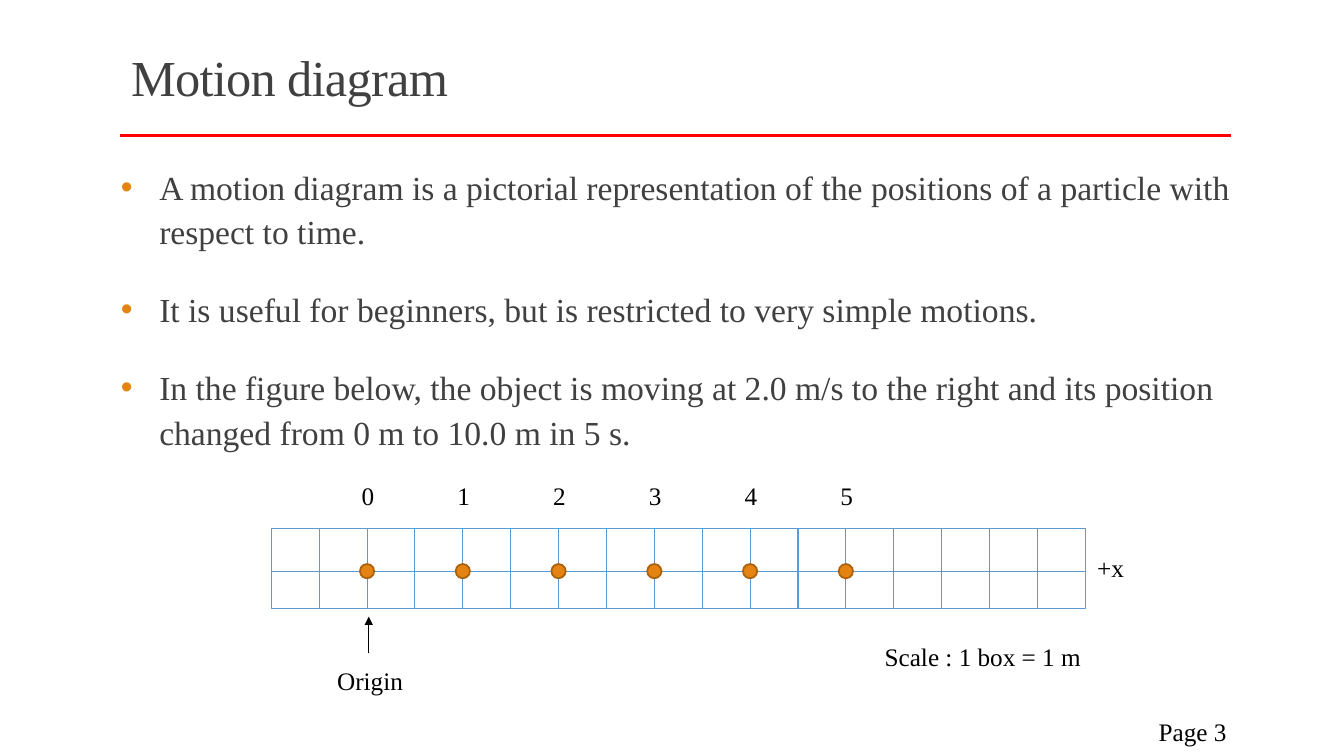
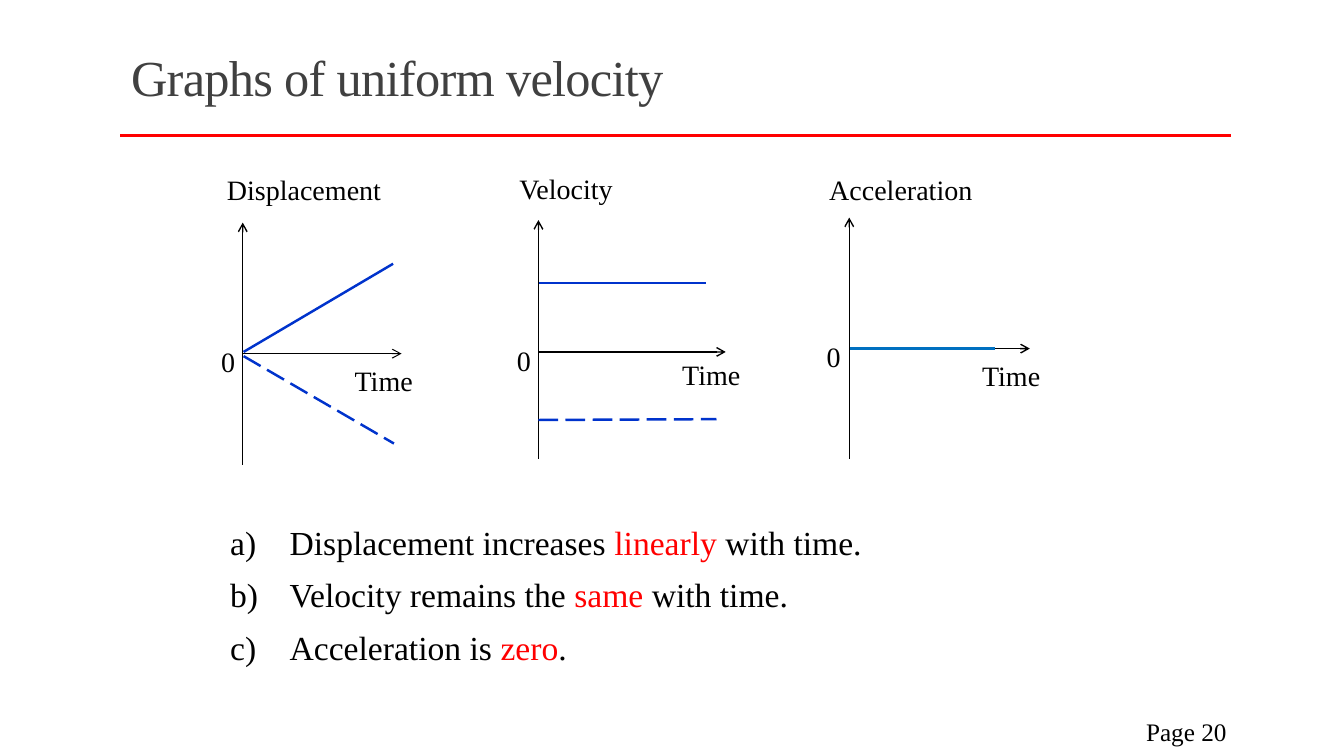
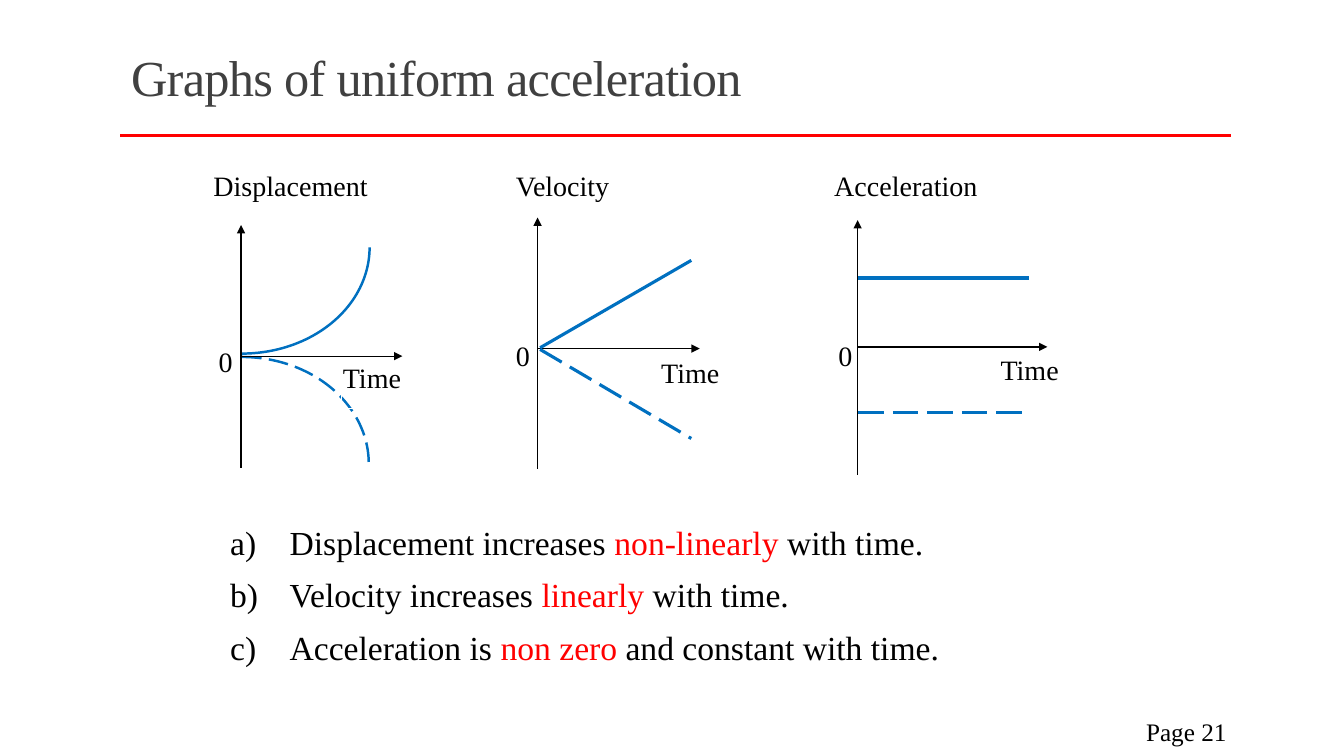
from lxml.etree import SubElement
from pptx import Presentation
from pptx.dml.color import RGBColor
from pptx.enum.dml import MSO_LINE
from pptx.enum.shapes import MSO_CONNECTOR, MSO_SHAPE
from pptx.enum.text import MSO_ANCHOR, MSO_AUTO_SIZE, PP_ALIGN
from pptx.oxml.ns import qn
from pptx.util import Inches, Pt

COLS, ROWS = 160, 90
FONT = "Times New Roman"
BLACK, WHITE, GREY, RED = "000000", "FFFFFF", "404040", "FF0000"
AMBER, BROWN = "E48312", "A9610D"
SKY, NAVY, BLUE = "5B9BD5", "0033CC", "0070C0"


def hue(code):
    return RGBColor.from_string(code)


class Deck:
    def __init__(self):
        self.show = Presentation()
        self.show.slide_width = Inches(13.33)
        self.show.slide_height = Inches(7.5)
        self.slide = None

    def grid(self, x, y, w, h):
        col = self.show.slide_width / COLS
        row = self.show.slide_height / ROWS
        return [round(v) for v in (x * col, y * row, w * col, h * row)]

    def page(self, title, number):
        self.slide = self.show.slides.add_slide(self.show.slide_layouts[1])
        head = self.slide.shapes.title
        self.place(head, 14.4, 3.7, 132, 11.8)
        para = self.letter(head, [title], 36, GREY, anchor=MSO_ANCHOR.MIDDLE)[0]
        para.line_spacing = 0.85
        next(para._p.iter(qn("a:defRPr"))).set("spc", "-50")
        self.line(14.3, 16.1, 146.5, 16.1, RED, 2)
        self.label(f"Page {number}", 130, 84.7, 17.2, 4.8, 18, PP_ALIGN.RIGHT,
                   (0.1, 0.05), MSO_ANCHOR.MIDDLE)

    def place(self, shape, *area):
        shape.left, shape.top, shape.width, shape.height = self.grid(*area)

    def letter(self, shape, texts, size, color=BLACK, align=PP_ALIGN.LEFT,
               inset=(0.1, 0.05), anchor=MSO_ANCHOR.TOP):
        frame = shape.text_frame
        frame.word_wrap = True
        frame.auto_size = MSO_AUTO_SIZE.NONE
        frame.vertical_anchor = anchor
        frame.margin_left = frame.margin_right = Inches(inset[0])
        frame.margin_top = frame.margin_bottom = Inches(inset[1])
        for i, text in enumerate(texts):
            para = frame.add_paragraph() if i else frame.paragraphs[0]
            para.alignment = align
            font = para.font
            font.name, font.size = FONT, Pt(size)
            font.color.rgb = hue(color)
            for k, part in enumerate(text.split("*")):
                run = para.add_run()
                run.text = part
                if k % 2:
                    run.font.color.rgb = hue(RED)
        return frame.paragraphs

    def points(self, texts, area, color, indent, before, after, inset, dot=None):
        body = self.slide.placeholders[1]
        self.place(body, *area)
        for para in self.letter(body, texts, 24, color, inset=inset):
            para.line_spacing = 1.1
            para.space_before, para.space_after = Pt(before), Pt(after)
            props = para._p.get_or_add_pPr()
            props.set("marL", str(Inches(indent)))
            props.set("indent", str(-Inches(indent)))
            last = props.find(qn("a:defRPr"))
            props.remove(last)
            if dot:
                tint = SubElement(props, qn("a:buClr"))
                SubElement(tint, qn("a:srgbClr")).set("val", dot)
                SubElement(props, qn("a:buFont")).set("typeface", "Arial")
                SubElement(props, qn("a:buChar")).set("char", "•")
            else:
                SubElement(props, qn("a:buNone"))
            props.append(last)

    def label(self, text, x, y, w, h, size=20, align=PP_ALIGN.LEFT,
              inset=(0.01, 0.01), anchor=MSO_ANCHOR.TOP):
        box = self.slide.shapes.add_textbox(*self.grid(x, y, w, h))
        self.letter(box, [text], size, BLACK, align, inset, anchor)

    def shape(self, kind, x, y, w, h, fill, line, width):
        item = self.slide.shapes.add_shape(kind, *self.grid(x, y, w, h))
        item.shadow.inherit = False
        if fill:
            item.fill.solid()
            item.fill.fore_color.rgb = hue(fill)
        else:
            item.fill.background()
        item.line.color.rgb = hue(line)
        item.line.width = Pt(width)
        return item

    def tag(self, text, x, y, w, h, size=18, align=PP_ALIGN.CENTER,
            inset=(0, 0), fill=WHITE):
        box = self.shape(MSO_SHAPE.RECTANGLE, x, y, w, h, fill, WHITE, 0.75)
        self.letter(box, [text], size, BLACK, align, inset)

    def line(self, x, y, to_x, to_y, color=BLACK, width=1.0, head=None,
             dash=False):
        item = self.slide.shapes.add_connector(
            MSO_CONNECTOR.STRAIGHT, *self.grid(x, y, to_x, to_y))
        item.line.color.rgb = hue(color)
        item.line.width = Pt(width)
        if dash:
            item.line.dash_style = MSO_LINE.LONG_DASH
        props = item.element.spPr
        if head:
            SubElement(props.find(qn("a:ln")), qn("a:tailEnd")).set("type", head)
        SubElement(props, qn("a:effectLst"))

    def arc(self, x, y, w, h, start, end, dash=False):
        item = self.shape(MSO_SHAPE.ARC, x, y, w, h, None, BLUE, 1.75)
        item.adjustments[0], item.adjustments[1] = start * 0.6, end * 0.6
        if dash:
            item.line.dash_style = MSO_LINE.LONG_DASH

    def graph(self, name, spot, x, y, top, foot, end, zero, time, head, fill,
              thin):
        self.label(name, *spot, 22, 6)
        self.label("0", *zero, 3.7, 3.5)
        self.tag("Time", *time, 11, 5.8, 20, PP_ALIGN.LEFT, (0.01, 0.01), fill)
        self.line(x, foot, x, top, head=head)
        self.line(x, y, end, y, width=0.75 if thin else 1, head=head)

    def facts(self, texts):
        rows = [f"{key})\t{text}" for key, text in zip("abc", texts)]
        self.points(rows, (26.2, 61, 104, 19.2), BLACK, 0.59, 6, 0, (0.1, 0.05))


def motion(deck):
    deck.page("Motion diagram", 3)
    deck.points([
        "A motion diagram is a pictorial representation of the positions of a "
        "particle with respect to time.",
        "It is useful for beginners, but is restricted to very simple motions.",
        "In the figure below, the object is moving at 2.0 m/s to the right and "
        "its position changed from 0 m to 10.0 m in 5 s.",
    ], (14.4, 18.8, 132.2, 61.4), GREY, 0.38, 18, 6, (0, 0.05), AMBER)
    left, top, tall, step, count = 32.3, 62.9, 9.6, 5.7, 17
    wide, mid = step * count, 68
    deck.line(43.9, 77.8, 43.9, 73.4, width=0.75, head="triangle")
    deck.tag("Origin", 37.1, 79.2, 13.9, 4.9)
    deck.shape(MSO_SHAPE.RECTANGLE, left, top, wide, tall, None, SKY, 0.75)
    deck.line(left, mid, left + wide, mid, SKY, 0.75)
    for i in range(1, count):
        x = left + i * step
        deck.line(x, top, x, top + tall, SKY, 0.75)
    deck.tag("Scale : 1 box = 1 m", 102.7, 76.3, 28.6, 4.7)
    deck.tag("+x", 130, 65.8, 4.4, 4.9)
    size = 1.7
    for i in range(6):
        x = left + (2 + 2 * i) * step
        deck.label(str(i), x - 2.4, 57.2, 5, 5.8, 18, PP_ALIGN.CENTER, (0, 0))
        deck.shape(MSO_SHAPE.OVAL, x - size / 2, mid - size / 2, size, size,
                   AMBER, BROWN, 1.25)


def steady(deck):
    deck.page("Graphs of uniform velocity", 20)
    for row in [
        ("Displacement", (26.9, 20.4), 28.9, 42.1, 26.5, 55.3, 47.8,
         (26.2, 40.9), (42.1, 43.1), "arrow", WHITE, True),
        ("Velocity", (61.7, 20.3), 64.1, 41.9, 26.2, 54.6, 86.4,
         (61.4, 40.8), (81.1, 42.5), "arrow", WHITE, False),
        ("Acceleration", (98.6, 20.4), 101.1, 41.5, 25.9, 54.6, 122.6,
         (98.3, 40.3), (116.8, 42.6), "arrow", WHITE, False),
    ]:
        deck.graph(*row)
    deck.line(29, 41.9, 46.8, 31.4, NAVY, 1.75)
    deck.line(29, 42.4, 46.9, 52.8, NAVY, 1.75, dash=True)
    deck.line(64.2, 33.7, 84, 33.7, NAVY, 1.75)
    deck.line(64.1, 50, 85.3, 49.9, NAVY, 1.75, dash=True)
    deck.line(101.2, 41.5, 118.4, 41.5, BLUE, 1.75)
    deck.facts(["Displacement increases *linearly* with time.",
                "Velocity remains the *same* with time.",
                "Acceleration is *zero*."])


def speed_up(deck):
    deck.page("Graphs of uniform acceleration", 21)
    deck.arc(13.6, 16.8, 30.4, 25.3, 0, 90)
    deck.arc(13.7, 42.5, 30.2, 25.4, 270, 0, True)
    for row in [
        ("Displacement", (25.3, 20), 28.7, 42.4, 26.8, 55.7, 47.9,
         (25.9, 40.9), (40.7, 42.8), "triangle", None, True),
        ("Velocity", (61.3, 19.9), 64, 41.5, 25.9, 55.8, 83.3,
         (61.3, 40.2), (78.6, 42.2), "triangle", None, True),
        ("Acceleration", (99.2, 19.9), 102.1, 41.3, 26.2, 56.5, 124.7,
         (99.7, 40.2), (119, 41.9), "triangle", None, False),
    ]:
        deck.graph(*row)
    for x, rise, fall, end, up, down in [
        (64.3, 41.4, 41.6, 82.3, 31, 52.2),
        (102.2, 33.1, 49.1, 122.5, 33.1, 49.1),
    ]:
        deck.line(x, rise, end, up, BLUE, 2.25)
        deck.line(x, fall, end, down, BLUE, 2.25, dash=True)
    deck.facts(["Displacement increases *non-linearly* with time.",
                "Velocity increases *linearly* with time.",
                "Acceleration is *non zero* and constant with time."])


def main():
    deck = Deck()
    motion(deck)
    steady(deck)
    speed_up(deck)
    deck.show.save("out.pptx")


if __name__ == "__main__":
    main()
